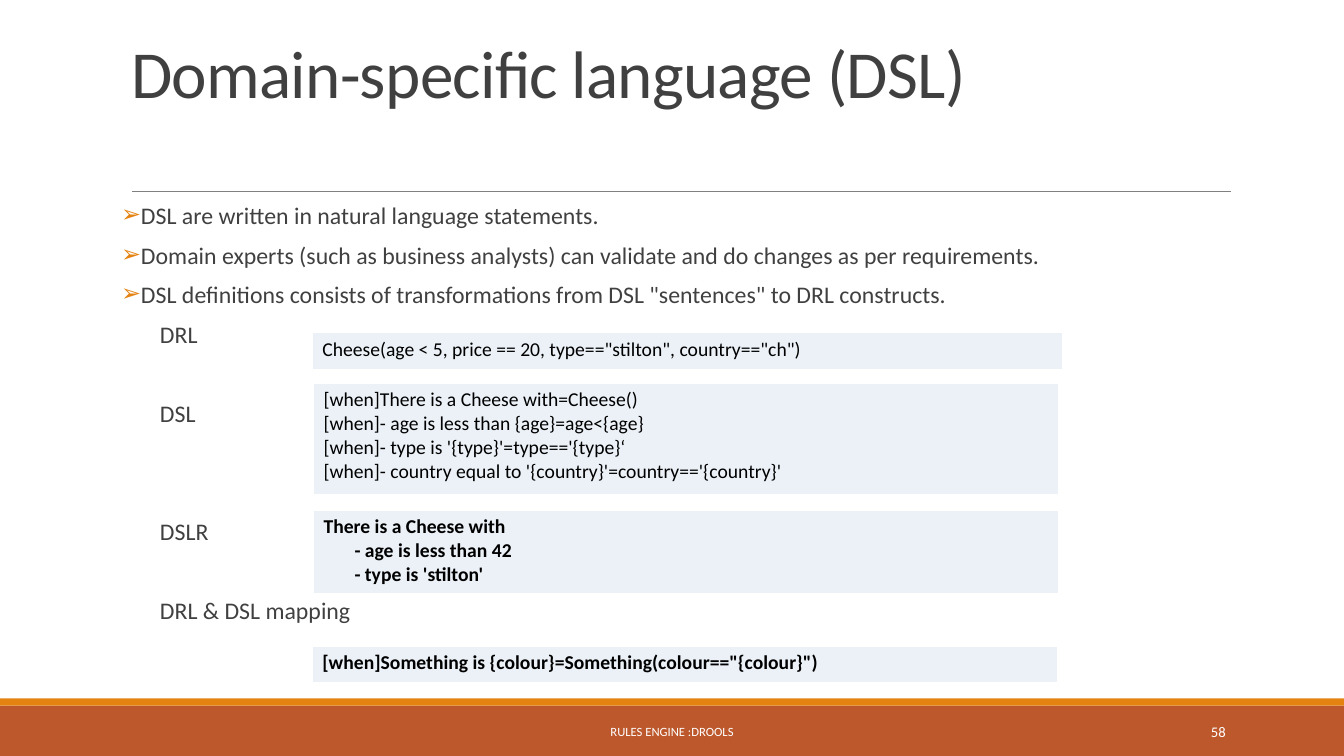
from dataclasses import dataclass

from lxml.etree import SubElement
from pptx import Presentation
from pptx.dml.color import RGBColor
from pptx.enum.shapes import MSO_CONNECTOR, MSO_SHAPE
from pptx.enum.text import MSO_ANCHOR, MSO_AUTO_SIZE, PP_ALIGN
from pptx.oxml.ns import qn
from pptx.util import Cm, Pt

FONT = "Calibri"
GREY = "404040"
WHITE = "FFFFFF"
ORANGE = "E48312"
LEFT, RIGHT, CENTER = PP_ALIGN.LEFT, PP_ALIGN.RIGHT, PP_ALIGN.CENTER


@dataclass
class Line:
    """A paragraph with its indent in cm and space before in points."""
    text: str
    left: float = 0
    before: float = 0
    bullet: str = ""


@dataclass
class Code:
    """A one-cell table of code, placed in cm."""
    box: tuple[float, float, float, float]
    lines: list[Line]
    bold: bool = False


@dataclass
class Bar:
    """A full-width footer band, placed in cm."""
    top: float
    height: float
    color: str


@dataclass
class Note:
    """A small footer text, placed in cm."""
    box: tuple[float, float, float, float]
    text: str
    size: float
    align: PP_ALIGN


BARS = [Bar(17.78, 1.27, "BD582C"), Bar(17.6, 0.18, ORANGE)]

NOTES = [
    Note((10.24, 17.93, 13.39, 1.02), "RULES ENGINE :DROOLS", 9, CENTER),
    Note((27.51, 17.93, 3.63, 1.02), "58", 10.5, RIGHT),
]

BODY = [
    Line("DSL are written in natural language statements.", 0.25, 0, "➢"),
    Line("Domain experts (such as business analysts) can validate and do "
         "changes as per requirements.", 0.25, 12, "➢"),
    Line('DSL definitions consists of transformations from DSL "sentences" '
         "to DRL constructs.", 0.25, 12, "➢"),
    Line("DRL", 0.98, 12),
    Line("DSL", 0.98, 40),
    Line("DSLR", 0.98, 68.5),
    Line("DRL & DSL mapping", 0.98, 40),
]

CODES = [
    Code((7.87, 8.38, 18.9, 0.97), [
        Line('Cheese(age < 5, price == 20, type=="stilton", country=="ch")'),
    ]),
    Code((7.9, 9.65, 18.77, 2.84), [
        Line("[when]There is a Cheese with=Cheese()"),
        Line("[when]- age is less than {age}=age<{age}"),
        Line("[when]- type is '{type}'=type=='{type}‘"),
        Line("[when]- country equal to '{country}'=country=='{country}'"),
    ]),
    Code((7.9, 12.85, 18.77, 2.13), [
        Line("There is a Cheese with"),
        Line("- age is less than 42", 0.78),
        Line("- type is 'stilton'", 0.78),
    ], True),
    Code((7.87, 16.28, 18.77, 0.94), [
        Line('[when]Something is {colour}=Something(colour=="{colour}")'),
    ], True),
]


def paint(target, color: str) -> None:
    """Give a fill or line format a solid hex colour."""
    target.solid()
    target.fore_color.rgb = RGBColor.from_string(color)


def mark(para, line: Line) -> None:
    """Set the indent and bullet of a paragraph."""
    props = para._p.get_or_add_pPr()
    props.set("marL", str(Cm(line.left)))
    props.set("indent", str(-Cm(line.left) if line.bullet else 0))
    if line.bullet:
        tint = SubElement(props, qn("a:buClr"))
        SubElement(tint, qn("a:srgbClr"), val=ORANGE)
        SubElement(props, qn("a:buChar"), char=line.bullet)
    else:
        SubElement(props, qn("a:buNone"))


def write(frame, lines: list[Line], *, size: float, color: str = GREY,
          bold: bool = False, align: PP_ALIGN = LEFT, pitch: float = 1,
          after: float = 0, track: int = 0) -> None:
    """Fill a text frame with formatted paragraphs."""
    for i, line in enumerate(lines):
        para = frame.add_paragraph() if i else frame.paragraphs[0]
        mark(para, line)
        para.alignment = align
        para.line_spacing = pitch
        para.space_before = Pt(line.before)
        para.space_after = Pt(after)
        run = para.add_run()
        run.text = line.text
        font = run.font
        font.name, font.size, font.bold = FONT, Pt(size), bold
        paint(font.fill, color)
        if track:
            run._r.get_or_add_rPr().set("spc", str(track))


def place(shape, left: float, top: float, width: float, height: float) -> None:
    """Move and size a shape in cm."""
    shape.left, shape.top = Cm(left), Cm(top)
    shape.width, shape.height = Cm(width), Cm(height)


def setup(frame, anchor: MSO_ANCHOR) -> None:
    """Make a text frame wrap at a fixed size with the given anchor."""
    frame.word_wrap = True
    frame.auto_size = MSO_AUTO_SIZE.NONE
    frame.vertical_anchor = anchor


def band(slide, bar: Bar) -> None:
    """Draw one footer band."""
    shape = slide.shapes.add_shape(
        MSO_SHAPE.RECTANGLE, 0, Cm(bar.top), Cm(33.87), Cm(bar.height))
    shape.shadow.inherit = False
    paint(shape.fill, bar.color)
    shape.line.fill.background()


def rule(slide) -> None:
    """Draw the thin line under the title."""
    line = slide.shapes.add_connector(
        MSO_CONNECTOR.STRAIGHT, Cm(3.33), Cm(4.83), Cm(31.01), Cm(4.83))
    paint(line.line.fill, "808080")
    line.line.width = Pt(0.5)
    SubElement(line._element.spPr, qn("a:effectLst"))


def label(slide, note: Note) -> None:
    """Draw one footer text."""
    frame = slide.shapes.add_textbox(*map(Cm, note.box)).text_frame
    setup(frame, MSO_ANCHOR.MIDDLE)
    write(frame, [Line(note.text)], size=note.size, color=WHITE,
          align=note.align)


def panel(slide, code: Code) -> None:
    """Draw one code table with white borders."""
    table = slide.shapes.add_table(1, 1, *map(Cm, code.box)).table
    table.first_row = table.horz_banding = False
    cell = table.cell(0, 0)
    props = cell._tc.get_or_add_tcPr()
    for side, width in (("L", 1), ("R", 1), ("T", 1), ("B", 3)):
        edge = SubElement(props, qn(f"a:ln{side}"), w=str(Pt(width)))
        fill = SubElement(edge, qn("a:solidFill"))
        SubElement(fill, qn("a:srgbClr"), val=WHITE)
    paint(cell.fill, "EBF1F7")
    write(cell.text_frame, code.lines, size=14, color="000000",
          bold=code.bold)


def main() -> None:
    """Build and save the slide."""
    deck = Presentation()
    deck.slide_width, deck.slide_height = Cm(33.87), Cm(19.05)
    slide = deck.slides.add_slide(deck.slide_layouts[1])
    title, body = slide.placeholders
    place(title, 3.05, 0.79, 27.94, 2.16)
    setup(title.text_frame, MSO_ANCHOR.BOTTOM)
    write(title.text_frame, [Line("Domain-specific language (DSL)")],
          size=48, pitch=0.85, track=-50)
    place(body, 3.05, 5.13, 27.94, 11.18)
    setup(body.text_frame, MSO_ANCHOR.TOP)
    body.text_frame.margin_left = body.text_frame.margin_right = 0
    write(body.text_frame, BODY, size=17, pitch=0.7, after=2)
    for bar in BARS:
        band(slide, bar)
    rule(slide)
    for note in NOTES:
        label(slide, note)
    for code in CODES:
        panel(slide, code)
    deck.save("out.pptx")


if __name__ == "__main__":
    main()
